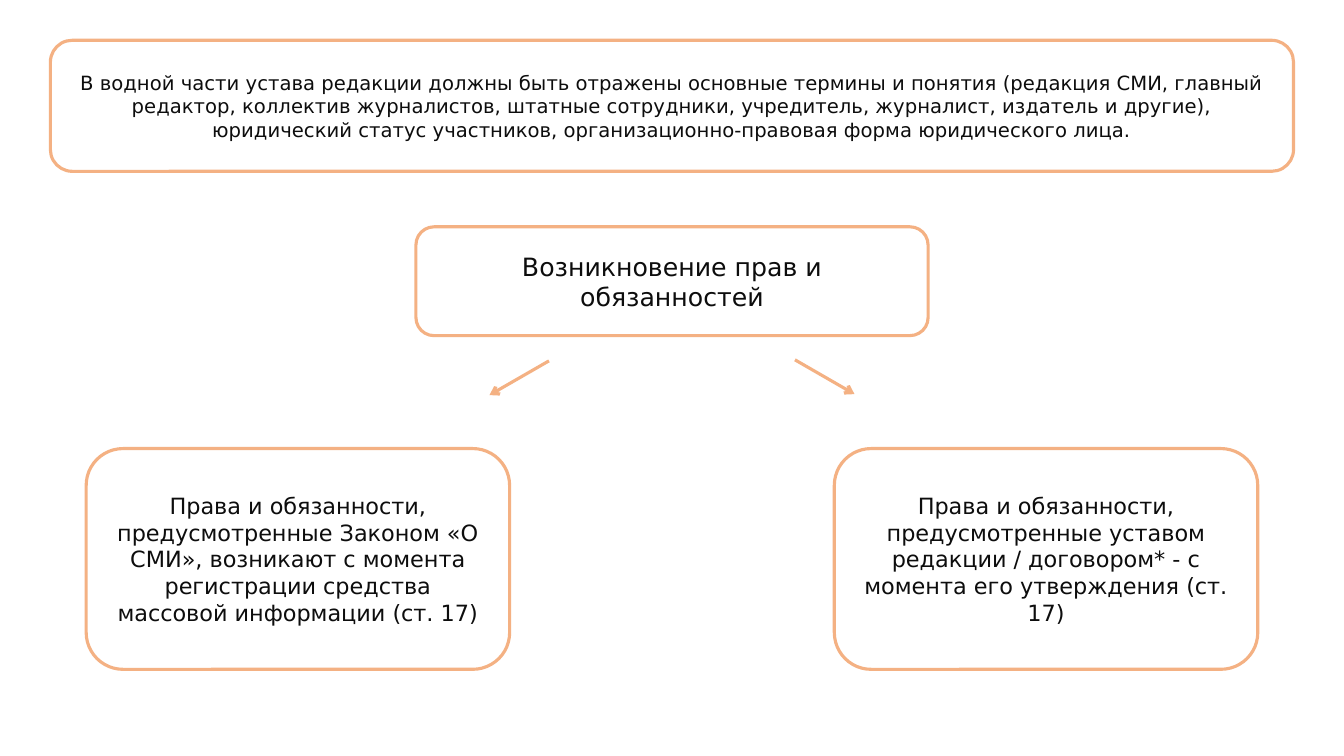
from lxml import etree
from pptx import Presentation
from pptx.dml.color import RGBColor
from pptx.enum.shapes import MSO_CONNECTOR, MSO_SHAPE
from pptx.enum.text import MSO_ANCHOR, PP_ALIGN
from pptx.oxml.ns import qn
from pptx.util import Inches, Pt

ROUNDED = MSO_SHAPE.ROUNDED_RECTANGLE
STRAIGHT = MSO_CONNECTOR.STRAIGHT
MIDDLE = MSO_ANCHOR.MIDDLE
CENTER = PP_ALIGN.CENTER

WHITE = RGBColor(0xFF, 0xFF, 0xFF)
ORANGE = RGBColor(0xF4, 0xB1, 0x83)
INK = RGBColor(0x0D, 0x0D, 0x0D)
FONT = "DejaVu Sans"
LINE_WIDTH = Pt(2.25)

SLIDE_WIDTH, SLIDE_HEIGHT = 13.33, 7.5
MIDDLE_X = SLIDE_WIDTH / 2
BRANCH_OFFSET = 3.71  # from the slide's middle to the middle of a branch box
ARROW_START, ARROW_END = 1.22, 1.81  # the same, for the ends of an arrow

INTRODUCTION = (
    "В водной части устава редакции должны быть отражены основные термины "
    "и понятия (редакция СМИ, главный редактор, коллектив журналистов, "
    "штатные сотрудники, учредитель, журналист, издатель и другие), "
    "юридический статус участников, организационно-правовая форма "
    "юридического лица."
)
HEADING = "Возникновение прав и обязанностей"
# side of the middle, top of the arrow, text
BRANCHES = [
    (-1, 3.58,
     "Права и обязанности, предусмотренные Законом «О СМИ», возникают "
     "с момента регистрации средства массовой информации (ст. 17)"),
    (1, 3.57,
     "Права и обязанности, предусмотренные уставом редакции / договором* "
     "- с момента его утверждения (ст. 17)"),
]


def add_box(slide, center_x, top, width, height, text, size):
    shape = slide.shapes.add_shape(
        ROUNDED, Inches(center_x - width / 2), Inches(top),
        Inches(width), Inches(height))
    shape.shadow.inherit = False
    shape.fill.solid()
    shape.fill.fore_color.rgb = WHITE
    shape.line.color.rgb = ORANGE
    shape.line.width = LINE_WIDTH

    frame = shape.text_frame
    frame.word_wrap = True
    frame.vertical_anchor = MIDDLE
    paragraph = frame.paragraphs[0]
    paragraph.alignment = CENTER
    run = paragraph.add_run()
    run.text = text
    run.font.name = FONT
    run.font.size = Pt(size)
    run.font.color.rgb = INK


def add_arrow(slide, start_x, start_y, end_x, end_y):
    connector = slide.shapes.add_connector(
        STRAIGHT, Inches(start_x), Inches(start_y),
        Inches(end_x), Inches(end_y))
    connector.line.color.rgb = ORANGE
    connector.line.width = LINE_WIDTH
    line = connector.line._get_or_add_ln()
    etree.SubElement(line, qn("a:tailEnd"), type="arrow")
    etree.SubElement(connector._element.spPr, qn("a:effectLst"))


def main():
    presentation = Presentation()
    presentation.slide_width = Inches(SLIDE_WIDTH)
    presentation.slide_height = Inches(SLIDE_HEIGHT)
    slide = presentation.slides.add_slide(presentation.slide_layouts[6])

    add_box(slide, MIDDLE_X, 0.4, 12.33, 1.3, INTRODUCTION, 14)
    add_box(slide, MIDDLE_X, 2.25, 5.08, 1.08, HEADING, 18)
    for side, arrow_top, text in BRANCHES:
        add_arrow(slide, MIDDLE_X + side * ARROW_START, arrow_top,
                  MIDDLE_X + side * ARROW_END, arrow_top + 0.34)
        add_box(slide, MIDDLE_X + side * BRANCH_OFFSET, 4.45, 4.2, 2.19,
                text, 16)

    presentation.save("out.pptx")


if __name__ == "__main__":
    main()
